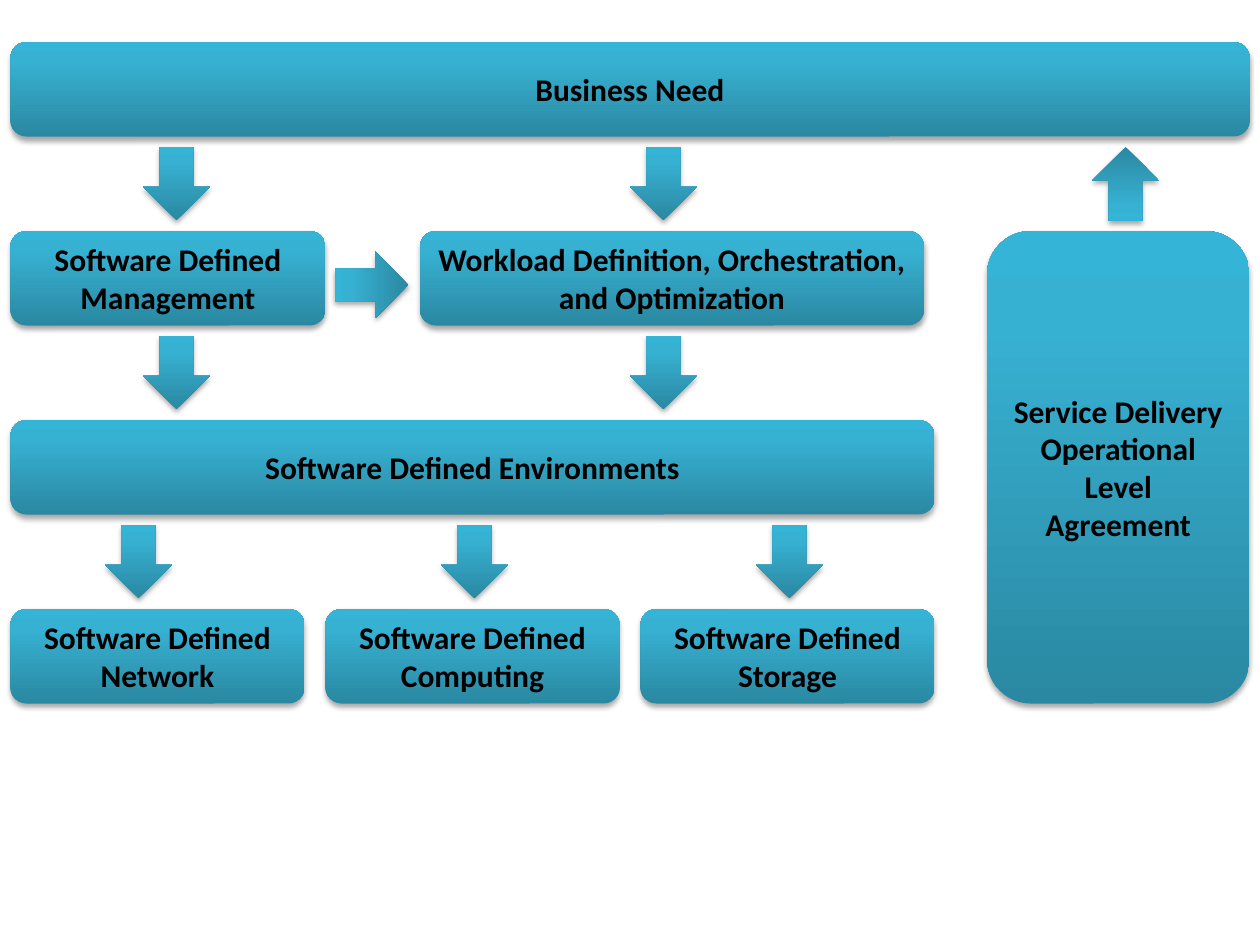
"""Build the software defined environment flow slide."""
from dataclasses import dataclass

from lxml.etree import SubElement
from pptx import Presentation
from pptx.dml.color import RGBColor
from pptx.enum.shapes import MSO_SHAPE as Shape
from pptx.enum.text import MSO_ANCHOR, PP_ALIGN
from pptx.oxml.ns import qn
from pptx.util import Pt


@dataclass(frozen=True)
class Theme:
    font: str = "Calibri"
    size: int = 18
    text: str = "000000"
    gradient: tuple = ((0, "2A88A2"), (80, "37B1D2"), (100, "34B4D6"))
    shadow: str = "000000"
    shadow_opacity: int = 35
    shadow_blur: float = 3.1
    shadow_distance: float = 1.8


THEME = Theme()
PX = 9525
SLIDE_WIDTH, SLIDE_HEIGHT = 960, 720
FIRST_ROW, ROW_PITCH, BOX_HEIGHT = 32, 144, 72
ARROW_WIDTH, ARROW_HEIGHT, ARROW_GAP = 51, 56, 8

# label, first row, last row, left, width
BOXES = [
    ("Business Need", 0, 0, 8, 944),
    ("Software Defined Management", 1, 1, 8, 240),
    ("Workload Definition, Orchestration, and Optimization", 1, 1, 320, 384),
    ("Service Delivery Operational Level Agreement", 1, 3, 752, 200),
    ("Software Defined Environments", 2, 2, 8, 704),
    ("Software Defined Network", 3, 3, 8, 224),
    ("Software Defined Computing", 3, 3, 248, 224),
    ("Software Defined Storage", 3, 3, 488, 224),
]
DOWN_ARROWS = [(0, (109, 480)), (1, (109, 480)), (2, (80, 336, 576))]
UP_ARROW_LEFT = 832
SIDE_ARROW = (258, 189)


def row_top(row):
    return FIRST_ROW + row * ROW_PITCH


def add_color(parent, color):
    return SubElement(parent, qn("a:srgbClr"), val=color)


def add_glossy(slide, preset, left, top, width, height):
    shape = slide.shapes.add_shape(
        preset, *(value * PX for value in (left, top, width, height)))
    shape.line.fill.background()
    shape.fill.gradient()
    shape.fill.gradient_angle = 90
    properties = shape.element.spPr
    stops = properties.find(".//" + qn("a:gsLst"))
    for stop in list(stops):
        stops.remove(stop)
    for position, color in THEME.gradient:
        add_color(SubElement(stops, qn("a:gs"), pos=str(position * 1000)), color)
    shape.shadow.inherit = False
    shadow = SubElement(
        properties.find(qn("a:effectLst")), qn("a:outerShdw"),
        blurRad=str(Pt(THEME.shadow_blur)), dist=str(Pt(THEME.shadow_distance)),
        dir="5400000", rotWithShape="0")
    SubElement(add_color(shadow, THEME.shadow), qn("a:alpha"),
               val=str(THEME.shadow_opacity * 1000))
    return shape


def add_box(slide, label, first_row, last_row, left, width):
    height = (last_row - first_row) * ROW_PITCH + BOX_HEIGHT
    box = add_glossy(slide, Shape.ROUNDED_RECTANGLE,
                     left, row_top(first_row), width, height)
    frame = box.text_frame
    frame.word_wrap = True
    frame.vertical_anchor = MSO_ANCHOR.MIDDLE
    paragraph = frame.paragraphs[0]
    paragraph.alignment = PP_ALIGN.CENTER
    run = paragraph.add_run()
    run.text = label
    run.font.name = THEME.font
    run.font.size = Pt(THEME.size)
    run.font.bold = True
    run.font.color.rgb = RGBColor.from_string(THEME.text)


def add_arrow(slide, left, top, rotation=0):
    arrow = add_glossy(slide, Shape.DOWN_ARROW,
                       left, top, ARROW_WIDTH, ARROW_HEIGHT)
    arrow.rotation = rotation


def main():
    deck = Presentation()
    deck.slide_width, deck.slide_height = SLIDE_WIDTH * PX, SLIDE_HEIGHT * PX
    slide = deck.slides.add_slide(deck.slide_layouts[6])
    for box in BOXES:
        add_box(slide, *box)
    below_box = BOX_HEIGHT + ARROW_GAP
    for row, lefts in DOWN_ARROWS:
        for left in lefts:
            add_arrow(slide, left, row_top(row) + below_box)
    add_arrow(slide, *SIDE_ARROW, rotation=270)
    add_arrow(slide, UP_ARROW_LEFT, row_top(0) + below_box, rotation=180)
    deck.save("out.pptx")


if __name__ == "__main__":
    main()
